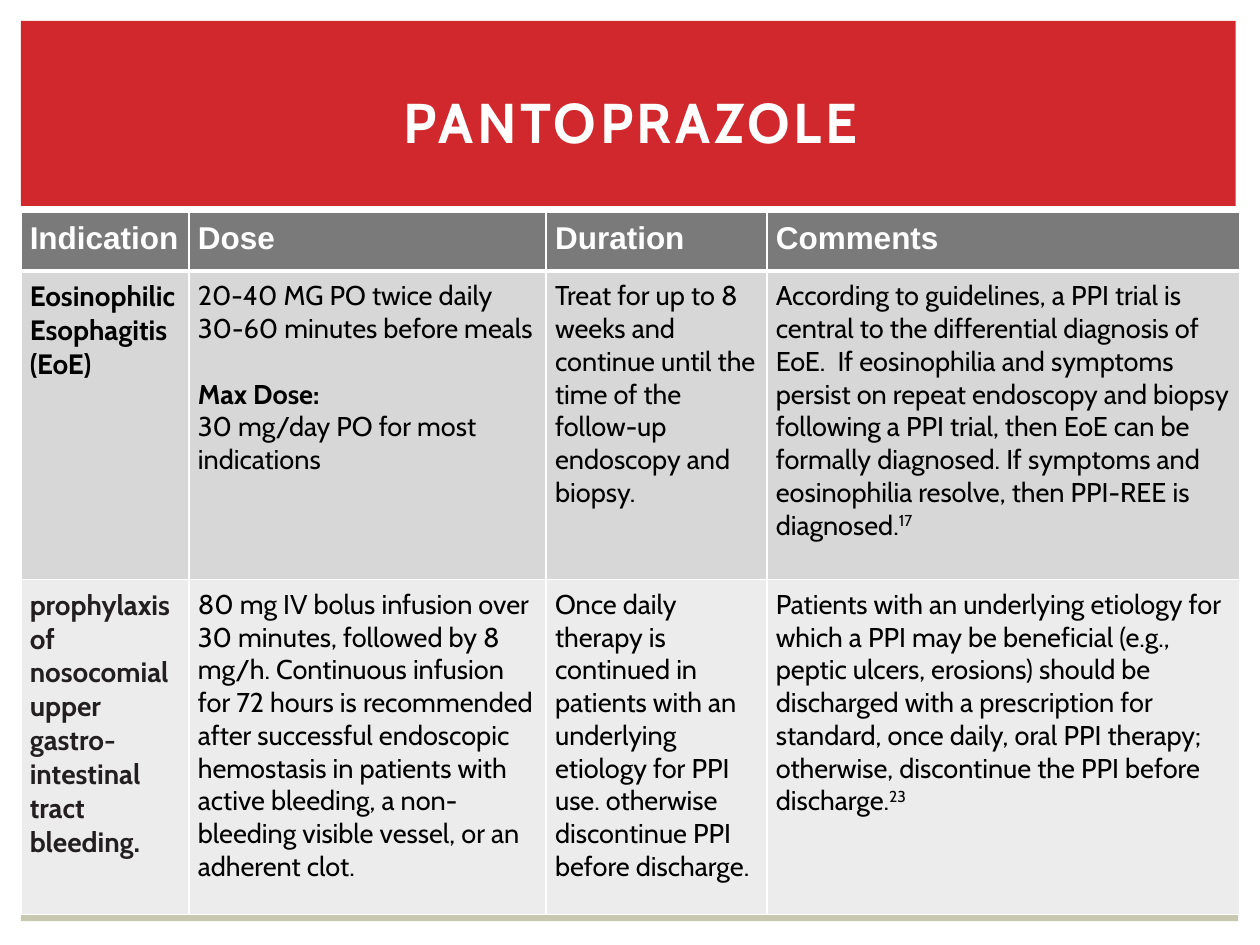
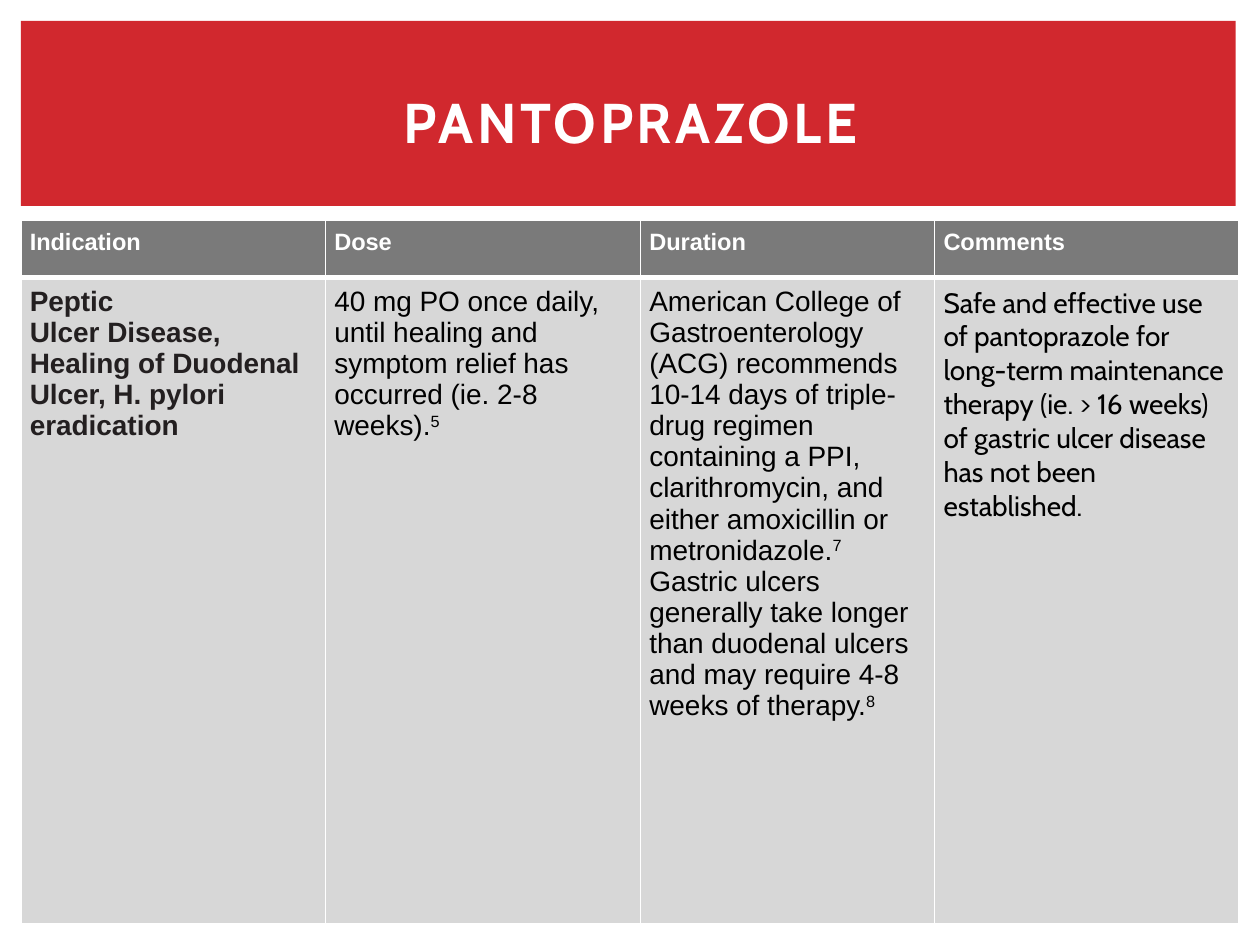
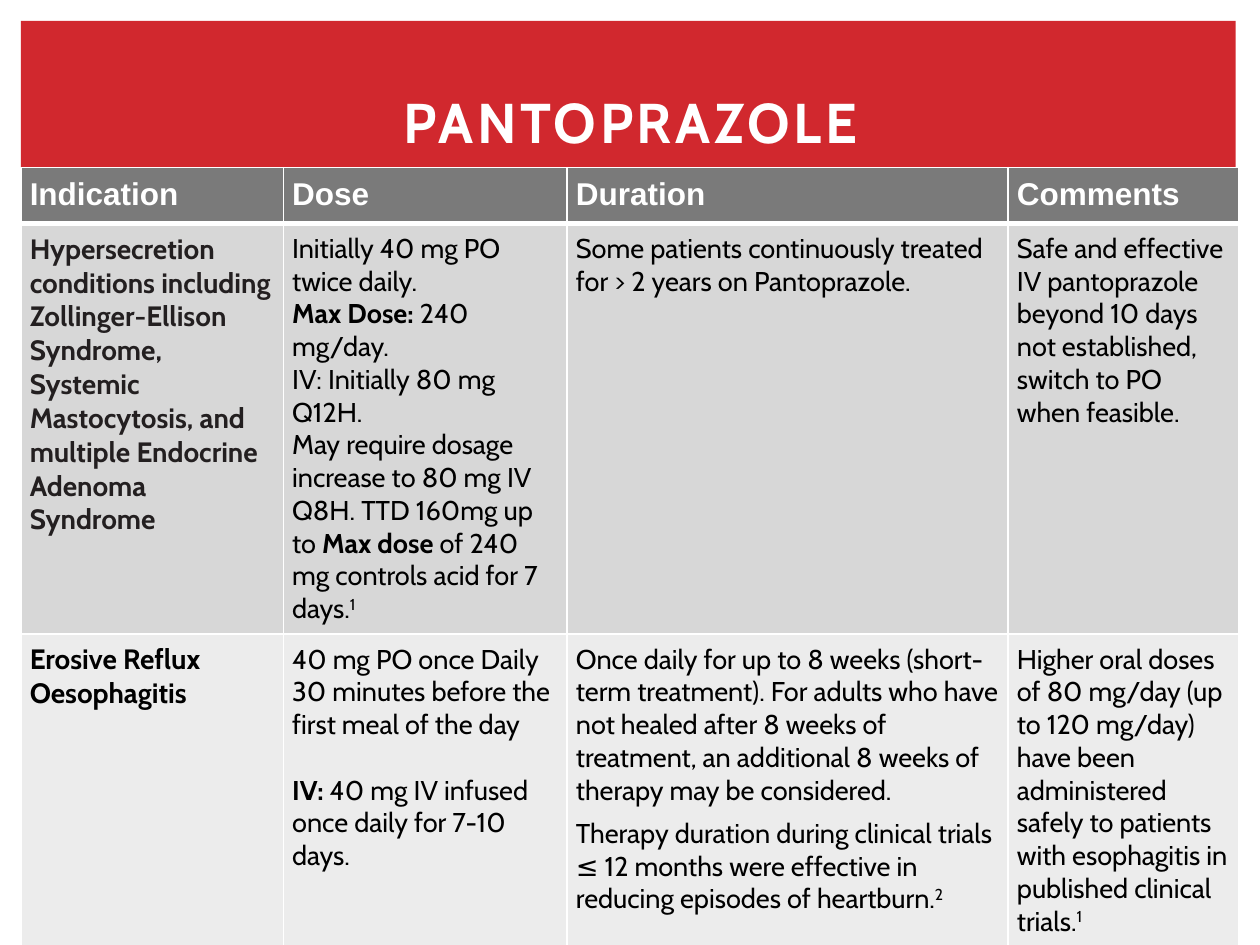
from typing import NamedTuple

from lxml import etree
from pptx import Presentation
from pptx import util as u
from pptx.dml import color as clr
from pptx.enum import shapes, text
from pptx.oxml import ns

COLORS = {
    "white": "FFFFFF", "red": "D1282E", "olive": "C8C8B1", "head": "7A7A7A",
    "dark": "D7D7D7", "light": "ECECEC", "black": "000000", "ink": "231F20",
}
FILLS = ["head", "dark", "light"]
HEADS = ["Indication", "Dose", "Duration", "Comments"]
TITLE = "PANTOPRAZOLE"
LEFT = 0.42
PAD = u.Cm(0.18)


class Box(NamedTuple):
    left: float
    top: float
    width: float
    height: float

    def place(self) -> list[u.Length]:
        return [u.Cm(side) for side in self]


class Band(NamedTuple):
    box: Box
    color: str


class Cell(NamedTuple):
    """Lines of text: *bold* and ^raised^ marks switch run formats."""
    lines: list[str]
    size: float = 15.5
    font: str = "Cabin"
    color: str = "black"
    bold: bool = False
    gap: float = 0  # points above the last line


class Grid(NamedTuple):
    top: float
    cols: list[float]
    rows: list[float]
    head: float  # header text size
    body: list[list[Cell]]


BANDS = [
    Band(Box(LEFT, 4.55, 24.54, 14.02), "olive"),
    Band(Box(LEFT, LEFT, 24.49, 3.73), "red"),
]
TITLE_BOX = Box(1.07, 0.99, 23.29, 2.92)


def name(*lines: str, color: str = "ink", font: str = "Cabin") -> Cell:
    """Bold entry of the first column."""
    return Cell(list(lines), 16, font, color, True)


GRIDS = [
    Grid(4.27, [3.39, 7.2, 4.45, 9.53], [1.19, 6.22, 6.76], 18, [
        [
            name("Eosinophilic Esophagitis (EoE)", color="black"),
            Cell(["20-40 MG PO twice daily 30-60 minutes before meals",
                  "*Max Dose:*",
                  "30 mg/day PO for most indications"]),
            Cell(["Treat for up to 8 weeks and continue until the time of the "
                  "follow-up endoscopy and biopsy."]),
            Cell(["According to guidelines, a PPI trial is central to the "
                  "differential diagnosis of EoE.  If eosinophilia and "
                  "symptoms persist on repeat endoscopy and biopsy following "
                  "a PPI trial, then EoE can be formally diagnosed. If "
                  "symptoms and eosinophilia resolve, then PPI-REE is "
                  "diagnosed.^17^"]),
        ],
        [
            name("prophylaxis of nosocomial upper gastro-intestinal",
                 "tract bleeding."),
            Cell(["80 mg IV bolus infusion over 30 minutes, followed by 8 "
                  "mg/h. Continuous infusion for 72 hours is recommended "
                  "after successful endoscopic hemostasis in patients with "
                  "active bleeding, a non-bleeding visible vessel, or an "
                  "adherent clot."]),
            Cell(["Once daily therapy is continued in patients with an "
                  "underlying etiology for PPI use. otherwise discontinue "
                  "PPI before discharge."]),
            Cell(["Patients with an underlying etiology for which a PPI may "
                  "be beneficial (e.g., peptic ulcers, erosions) should be "
                  "discharged with a prescription for standard, once daily, "
                  "oral PPI therapy; otherwise, discontinue the PPI before "
                  "discharge.^23^"]),
        ],
    ]),
    Grid(4.45, [6.14, 6.35, 5.93, 6.14], [1.14, 13.03], 13.5, [
        [
            name("Peptic", "Ulcer Disease, Healing of Duodenal Ulcer, "
                 "H. pylori eradication", font="Arial"),
            Cell(["40 mg PO once daily, until healing and symptom relief has "
                  "occurred (ie. 2-8 weeks).^5^"], 16, "Arial"),
            Cell(["American College of Gastroenterology (ACG) recommends "
                  "10-14 days of triple-drug regimen containing a PPI, "
                  "clarithromycin, and either amoxicillin or "
                  "metronidazole.^7^",
                  "Gastric ulcers generally take longer than duodenal ulcers "
                  "and may require 4-8 weeks of therapy.^8^"], 16, "Arial"),
            Cell(["Safe and effective use of pantoprazole for long-term "
                  "maintenance therapy (ie. > 16 weeks) of gastric ulcer "
                  "disease has not been established."], 16),
        ],
    ]),
    Grid(3.38, [5.29, 5.72, 8.89, 4.66], [1.07, 8.28, 6.3], 18, [
        [
            name("Hypersecretion conditions including",
                 "Zollinger-Ellison Syndrome, Systemic Mastocytosis, and "
                 "multiple Endocrine Adenoma Syndrome"),
            Cell(["Initially 40 mg PO twice daily.",
                  "*Max Dose: *240 mg/day.",
                  "IV: Initially 80 mg Q12H.",
                  "May require dosage increase to 80 mg IV Q8H. TTD 160mg up "
                  "to *Max dose* of 240 mg controls acid for 7 days.^1^"]),
            Cell(["Some patients continuously treated for > 2 years on "
                  "Pantoprazole."]),
            Cell(["Safe and effective IV pantoprazole beyond 10 days not "
                  "established, switch to PO when feasible."]),
        ],
        [
            name("Erosive Reflux Oesophagitis", color="black"),
            Cell(["40 mg PO once Daily 30 minutes before the first meal of "
                  "the day",
                  "*IV:* 40 mg IV infused once daily for 7-10 days."],
                 gap=18.7),
            Cell(["Once daily for up to 8 weeks (short-term treatment). For "
                  "adults who have not healed after 8 weeks of treatment, an "
                  "additional 8 weeks of therapy may be considered.",
                  "Therapy duration during clinical trials ≤ 12 months were "
                  "effective in reducing episodes of heartburn.^2^"], gap=6),
            Cell(["Higher oral doses of 80 mg/day (up to 120 mg/day) have "
                  "been administered safely to patients with esophagitis in "
                  "published clinical trials.^1^"]),
        ],
    ]),
]


def rgb(key: str) -> clr.RGBColor:
    return clr.RGBColor.from_string(COLORS[key])


def style(run, size: float, font: str, color: str, bold: bool) -> None:
    run.font.size = u.Pt(size)
    run.font.name = font
    run.font.bold = bold
    run.font.color.rgb = rgb(color)


def write(para, line: str, cell: Cell) -> None:
    """Fill a paragraph, switching bold at * and raised at ^."""
    for i, part in enumerate(line.split("*")):
        for j, piece in enumerate(part.split("^")):
            if not piece:
                continue
            run = para.add_run()
            run.text = piece
            style(run, cell.size, cell.font, cell.color,
                  cell.bold or i % 2 == 1)
            if j % 2:
                run.font._element.set("baseline", "30000")


def edge(box, foot: float) -> None:
    """White borders, with their own width at the foot."""
    props = box._tc.get_or_add_tcPr()
    for side, width in zip("LRTB", (1, 1, 1, foot)):
        line = etree.SubElement(props, ns.qn(f"a:ln{side}"),
                                w=str(u.Pt(width)))
        fill = etree.SubElement(line, ns.qn("a:solidFill"))
        etree.SubElement(fill, ns.qn("a:srgbClr"), val=COLORS["white"])


def draw_cell(box, cell: Cell, row: int) -> None:
    edge(box, 1 if row else 3)
    box.fill.solid()
    box.fill.fore_color.rgb = rgb(FILLS[row])
    box.margin_left = box.margin_right = PAD
    box.margin_top = box.margin_bottom = PAD
    frame = box.text_frame
    for i, line in enumerate(cell.lines):
        para = frame.add_paragraph() if i else frame.paragraphs[0]
        write(para, line, cell)
        if line == "*Max Dose:*":
            para.space_before = u.Pt(18.7)
    if cell.gap:
        para.space_before = u.Pt(cell.gap)


def draw_grid(slide, grid: Grid) -> None:
    box = Box(LEFT, grid.top, sum(grid.cols), sum(grid.rows))
    table = slide.shapes.add_table(len(grid.rows), len(grid.cols),
                                   *box.place()).table
    table.horz_banding = False
    for col, width in zip(table.columns, grid.cols):
        col.width = u.Cm(width)
    for row, height in zip(table.rows, grid.rows):
        row.height = u.Cm(height)
    heads = [Cell([word], grid.head, "Arial", "white", True) for word in HEADS]
    for r, cells in enumerate([heads, *grid.body]):
        for c, cell in enumerate(cells):
            draw_cell(table.cell(r, c), cell, r)


def draw_band(slide, band: Band) -> None:
    shape = slide.shapes.add_shape(shapes.MSO_SHAPE.RECTANGLE,
                                   *band.box.place())
    shape.shadow.inherit = False
    shape.fill.solid()
    shape.fill.fore_color.rgb = rgb(band.color)
    shape.line.fill.background()


def draw_title(slide) -> None:
    frame = slide.shapes.add_textbox(*TITLE_BOX.place()).text_frame
    frame.word_wrap = True
    frame.vertical_anchor = text.MSO_ANCHOR.MIDDLE
    frame.text = TITLE
    para = frame.paragraphs[0]
    para.alignment = text.PP_ALIGN.CENTER
    run = para.runs[0]
    style(run, 32, "Cabin", "white", True)
    run.font._element.set("spc", "200")


def main() -> None:
    deck = Presentation()
    deck.slide_width, deck.slide_height = u.Cm(25.4), u.Cm(19.05)
    for grid in GRIDS:
        slide = deck.slides.add_slide(deck.slide_layouts[6])
        # Shared bands and title
        for band in BANDS:
            draw_band(slide, band)
        draw_title(slide)
        # Dosing table
        draw_grid(slide, grid)
    deck.save("out.pptx")


if __name__ == "__main__":
    main()
